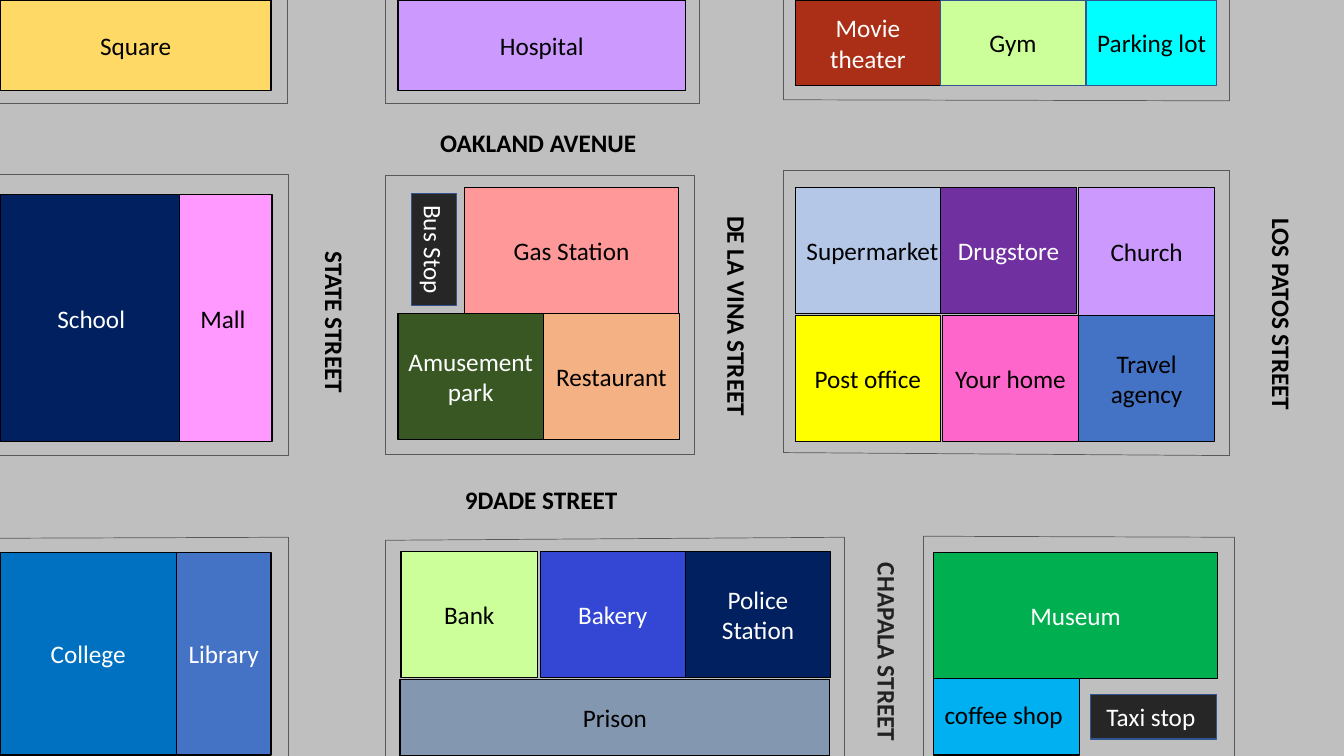
"""Builds a town map slide with street names, curbs and coloured buildings."""
from itertools import pairwise

from lxml import etree
from pptx import Presentation
from pptx.dml.color import RGBColor
from pptx.enum.shapes import MSO_CONNECTOR, MSO_SHAPE
from pptx.enum.text import MSO_ANCHOR, PP_ALIGN
from pptx.oxml.ns import qn
from pptx.util import Inches, Pt

RECTANGLE = MSO_SHAPE.RECTANGLE
STRAIGHT = MSO_CONNECTOR.STRAIGHT
CENTER, LEFT = PP_ALIGN.CENTER, PP_ALIGN.LEFT
MIDDLE = MSO_ANCHOR.MIDDLE
CELL = Inches(0.1)
COLUMNS, ROWS = 133.33, 75

COLORS = {
    "asphalt": "BFBFBF", "curb": "595959", "black": "000000", "white": "FFFFFF",
    "charcoal": "262626", "soot": "222222", "edge": "325491", "sky": "00B0F0",
    "pink": "FF66CC", "mist": "B4C7E7", "purple": "7030A0", "lilac": "CC99FF",
    "lime": "CCFF99", "blue": "4472C4", "forest": "385723", "peach": "F4B183",
    "royal": "3447D4", "brick": "AA2F16", "yellow": "FFFF00", "salmon": "FF9999",
    "navy": "002060", "gold": "FFD966", "green": "00B050", "ocean": "0070C0",
    "cyan": "00FFFF", "orchid": "FF99FF", "slate": "8497B0",
}


def cells(*counts):
    return [round(count * CELL) for count in counts]


def write(shape, words, ink, bold=False, align=CENTER):
    paragraph = shape.text_frame.paragraphs[0]
    paragraph.alignment = align
    run = paragraph.add_run()
    run.text = words
    run.font.name = "Calibri"
    run.font.size = Pt(18)
    run.font.bold = bold
    run.font.color.rgb = RGBColor.from_string(COLORS[ink])


town = Presentation()
town.slide_width, town.slide_height = cells(COLUMNS, ROWS)
street_map = town.slides.add_slide(town.slide_layouts[6])
street_map.background.fill.solid()
street_map.background.fill.fore_color.rgb = RGBColor.from_string(COLORS["asphalt"])

curbs = [
    [(0, 10.3), (28.5, 10.3), (28.5, 0)],
    [(38.2, 0), (38.2, 10.3), (69.4, 10.3), (69.4, 0)],
    [(77.7, 0), (77.7, 9.9), (122, 10), (122, 0)],
    [(0, 17.3), (28.6, 17.3), (28.6, 45.2), (0, 45.2)],
    [(38.2, 17.4), (68.9, 17.4), (68.9, 45.1), (38.2, 45.1), (38.2, 17.4)],
    [(77.7, 16.9), (122, 16.9), (122, 45.2), (77.7, 44.9), (77.7, 16.9)],
    [(0, 53.4), (28.6, 53.3), (28.6, ROWS)],
    [(38.2, ROWS), (38.2, 53.6), (83.8, 53.3), (83.8, ROWS)],
    [(91.6, ROWS), (91.6, 53.2), (122.5, 53.3), (122.5, ROWS)],
]
for corners in curbs:
    for start, end in pairwise(corners):
        curb = street_map.shapes.add_connector(STRAIGHT, *cells(*start, *end))
        curb.line.color.rgb = RGBColor.from_string(COLORS["curb"])
        curb.line.width = Pt(0.5)
        etree.SubElement(curb._element.spPr, qn("a:effectLst"))

frontages = [
    (0, 9, 0, "black", [
        ("Square", 0, 26.9, "gold", "black"),
        ("Hospital", 39.5, 28.5, "lilac", "black")]),
    (0, 8.5, 0, "black", [("Movie theater", 78.9, 14.4, "brick", "white")]),
    (0, 8.5, 0, "edge", [
        ("Gym", 93.3, 14.4, "lime", "black"),
        ("Parking lot", 107.8, 12.9, "cyan", "black")]),
    (19.3, 24.5, 0, "black", [
        ("School", 0, 18.1, "navy", "white"),
        ("Mall ", 17.8, 9.2, "orchid", "black")]),
    (31.1, 12.5, 0, "black", [
        ("Amusement park", 39.5, 14.4, "forest", "white"),
        ("Restaurant ", 53.9, 13.5, "peach", "black")]),
    (18.6, 12.5, 0, "black", [
        ("Gas Station", 46.1, 21.2, "salmon", "black"),
        ("Supermarket", 78.9, 15.3, "mist", "black"),
        ("Drugstore", 93.3, 13.5, "purple", "white")]),
    (18.6, 12.7, 0, "black", [("Church", 107, 13.5, "lilac", "black")]),
    (31.3, 12.5, 0, "black", [
        ("Post office", 78.9, 14.4, "yellow", "black"),
        ("Your home", 93.5, 13.5, "pink", "black"),
        ("Travel agency", 107, 13.5, "blue", "black")]),
    (54.8, 20.1, 0, "black", [
        ("College", 0, 17.5, "ocean", "white"),
        ("Library", 17.5, 9.4, "blue", "white")]),
    (66.8, 8.1, 0, "black", [("coffee shop ", 92.6, 14.5, "sky", "black")]),
    (54.7, 12.5, 0, "black", [
        ("Bank", 39.8, 13.5, "lime", "black"),
        ("Bakery", 53.6, 14.4, "royal", "white"),
        ("Police Station", 68, 14.4, "navy", "white")]),
    (54.8, 12.5, 0, "black", [("Museum", 92.6, 28.2, "green", "white")]),
    (67.4, 7.6, 0, "black", [("Prison", 39.7, 42.6, "slate", "black")]),
    (22.5, 4.5, 90, "edge", [("Bus Stop", 37.5, 11.1, "charcoal", "white")]),
    (68.9, 4.4, 0, "edge", [("Taxi stop\u00a0", 108.2, 12.5, "charcoal", "white")]),
]
for top, height, turn, outline, places in frontages:
    for place, left, width, paint, ink in places:
        building = street_map.shapes.add_shape(RECTANGLE, *cells(left, top, width, height))
        building.rotation = turn
        building.shadow.inherit = False
        building.fill.solid()
        building.fill.fore_color.rgb = RGBColor.from_string(COLORS[paint])
        building.line.color.rgb = RGBColor.from_string(COLORS[outline])
        building.line.width = Pt(1)
        building.text_frame.word_wrap = True
        building.text_frame.vertical_anchor = MIDDLE
        write(building, place, ink)

streets = [
    ("9DADE STREET", 39.8, 47.6, 27.8, 0, True, "black"),
    ("OAKLAND AVENUE", 17.6, 12.1, 71.6, 0, True, "black"),
    ("STATE STREET", 20.1, 30, 26.3, 90, True, "black"),
    ("DE LA VINA STREET", 62.1, 29.5, 22.1, 90, False, "black"),
    ("LOS PATOS STREET", 116.6, 29.3, 21.2, 90, False, "black"),
    ("CHAPALA STREET", 78.1, 62.8, 19.9, 90, False, "soot"),
]
for street, left, top, width, turn, wraps, ink in streets:
    sign = street_map.shapes.add_textbox(*cells(left, top, width, 4))
    sign.rotation = turn
    sign.text_frame.word_wrap = wraps
    write(sign, street, ink, bold=True, align=CENTER if wraps else LEFT)

town.save("out.pptx")
